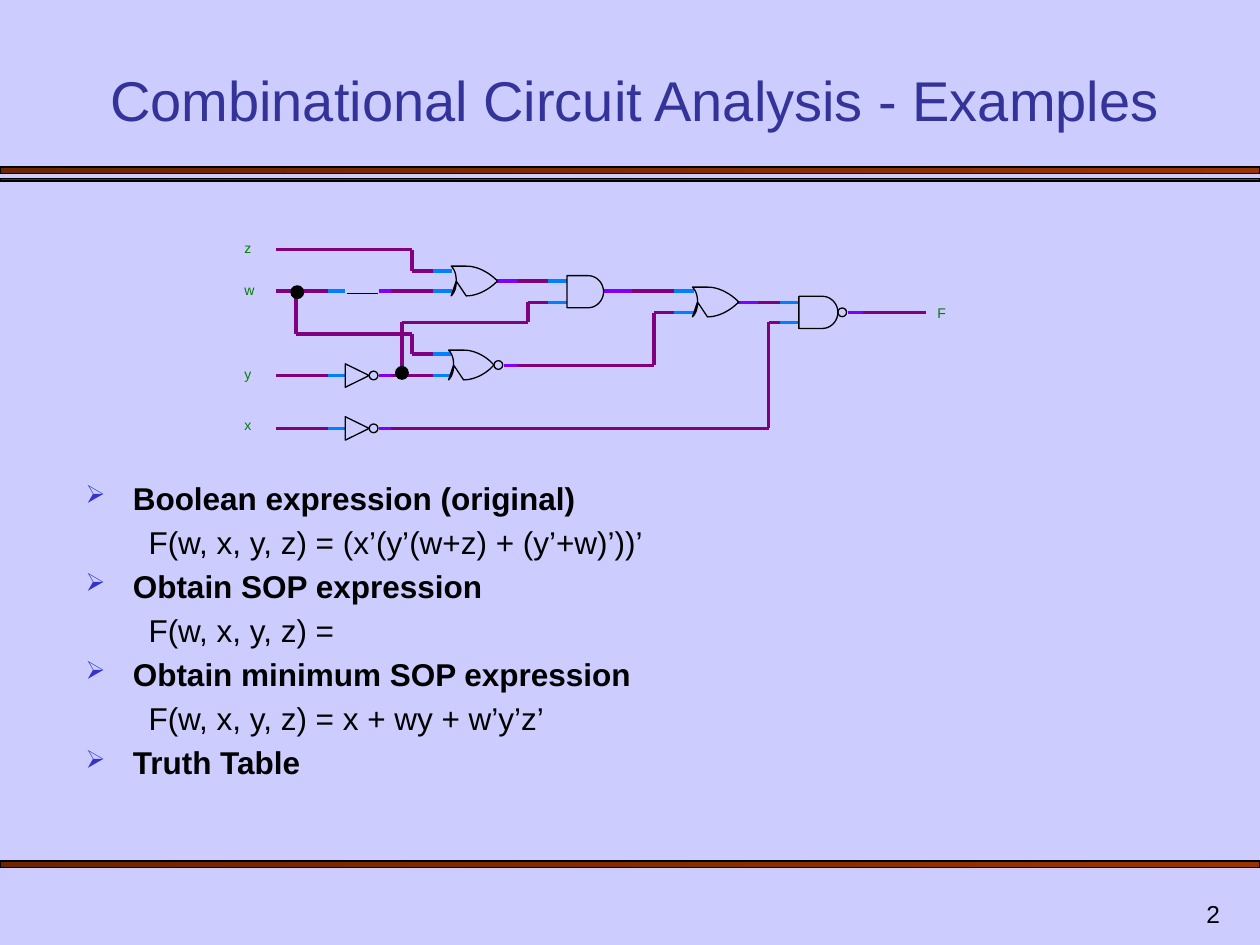
"""Build a slide that analyses a combinational logic circuit."""
import lxml.etree
import pptx
import pptx.dml.color
import pptx.enum.shapes
import pptx.enum.text
import pptx.oxml.ns
import pptx.util

Pt = pptx.util.Pt
SHAPE = pptx.enum.shapes.MSO_SHAPE
ALIGN = pptx.enum.text.PP_ALIGN
ANCHOR = pptx.enum.text.MSO_ANCHOR
BLACK, GREEN, WIRE, PIN, OUT = "000000", "008000", "800080", "0080FF", "8000FF"
BUBBLE = 5


def rgb(value):
    return pptx.dml.color.RGBColor.from_string(value)


def add_element(parent, tag, **attrs):
    qn = pptx.oxml.ns.qn
    return lxml.etree.SubElement(parent, qn(tag), {k: str(v) for k, v in attrs.items()})


def set_outline(line, color, width):
    line.color.rgb = rgb(color)
    line.width = Pt(width)


def format_text(p, text, size=18, color=BLACK, bold=False, align=ALIGN.LEFT):
    p.alignment = align
    r = p.add_run()
    r.text = text
    r.font.name = "Arial"
    r.font.size = Pt(size)
    r.font.bold = bold
    r.font.color.rgb = rgb(color)


def add_text_box(slide, box, anchor=ANCHOR.TOP, wrap=True, inset=True):
    tf = slide.shapes.add_textbox(*map(Pt, box)).text_frame
    tf.word_wrap = wrap
    tf.vertical_anchor = anchor
    if not inset:
        tf.margin_left = tf.margin_right = tf.margin_top = tf.margin_bottom = 0
    return tf


def add_label(slide, text, x, y):
    tf = add_text_box(slide, (x, y, 6, 21.6), wrap=False, inset=False)
    format_text(tf.paragraphs[0], text, size=8, color=GREEN)


def add_bar(slide, y, height):
    sp = slide.shapes.add_shape(SHAPE.RECTANGLE, 0, Pt(y), Pt(720), Pt(height))
    sp.shadow.inherit = False
    sp.fill.gradient()
    sp.fill.gradient_angle = 0
    for stop, color, position in zip(sp.fill.gradient_stops, ("6D2400", "993300"), (0, 1)):
        stop.color.rgb = rgb(color)
        stop.position = position
    set_outline(sp.line, BLACK, 0.75)


def add_circle(slide, x, y, size, fill=None, width=0):
    sp = slide.shapes.add_shape(SHAPE.OVAL, Pt(x), Pt(y - size / 2), Pt(size), Pt(size))
    sp.shadow.inherit = False
    if fill:
        sp.fill.solid()
        sp.fill.fore_color.rgb = rgb(fill)
    else:
        sp.fill.background()
    set_outline(sp.line, BLACK, width)


def add_wire(slide, color, *points, width=0):
    for start, end in zip(points, points[1:]):
        line = slide.shapes.add_connector(
            pptx.enum.shapes.MSO_CONNECTOR.STRAIGHT, *map(Pt, start + end))
        set_outline(line.line, color, width)
        add_element(line._element.spPr, "a:effectLst")


def curve(p0, p1, p2, p3, steps=12):
    """Return points along a cubic Bezier curve."""
    points = []
    for i in range(steps + 1):
        t = i / steps
        weights = ((1 - t) ** 3, 3 * t * (1 - t) ** 2, 3 * t ** 2 * (1 - t), t ** 3)
        points.append(tuple(sum(w * p[axis] for w, p in zip(weights, (p0, p1, p2, p3)))
                            for axis in (0, 1)))
    return points


def mirrored(points):
    return [(x, -y) for x, y in reversed(points)]


def add_gate(slide, x, y, outline, tip, inverted):
    points = [(Pt(x + dx), Pt(y + dy)) for dx, dy in outline]
    builder = slide.shapes.build_freeform(*points[0])
    builder.add_line_segments(points[1:], close=True)
    sp = builder.convert_to_shape()
    sp.shadow.inherit = False
    sp.fill.background()
    set_outline(sp.line, BLACK, 0)
    if inverted:
        add_circle(slide, x + tip, y, BUBBLE)


def add_or(slide, x, y, inverted=False):
    tip = 26 if inverted else 26.5
    top = curve((8.6, -8.5), (15, -8.5), (21.5, -5), (tip, 0))
    back = curve((0, -8.5), (2.2, -6.3), (2.9, -3.4), (2.9, 0))
    outline = top + mirrored(top) + mirrored(back) + back[::-1]
    add_gate(slide, x, y, outline, tip, inverted)


def add_and(slide, x, y, inverted=False):
    tip = 22.3 if inverted else 20.9
    top = curve((tip - 9, -9.2), (tip - 4, -9.2), (tip, -5), (tip, 0))
    outline = [(0, -9.2)] + top + mirrored(top) + [(0, 9.2)]
    add_gate(slide, x, y, outline, tip, inverted)


def add_inverter(slide, x, y):
    add_gate(slide, x, y, [(0, -6.7), (13.7, 0), (0, 6.7)], 13.7, True)


def add_circuit(slide):
    z, w, y, x = 142.6, 166.3, 214.6, 244.8
    left, inv_in, inv, inv_out = 157.7, 187.2, 197.3, 216.7
    stub, gate_in, bend = 223.2, 247.7, 235.4
    wires = [
        (WIRE, (left, z), (bend, z), (bend, 154.8), (gate_in, 154.8)),
        (WIRE, (left, w), (inv_in, w)),
        (WIRE, (stub, w), (gate_in, w)),
        (WIRE, (169.2, w), (169.2, 190.8), (bend, 190.8), (bend, 202.3), (gate_in, 202.3)),
        (WIRE, (left, y), (inv_in, y)),
        (WIRE, (stub, y), (gate_in, y)),
        (WIRE, (229.7, y), (229.7, 184.3), (301.7, 184.3), (301.7, 172.8), (313.2, 172.8)),
        (WIRE, (left, x), (inv_in, x)),
        (WIRE, (stub, x), (439.2, x), (439.2, 184.3), (445.7, 184.3)),
        (WIRE, (295.2, 160.6), (313.2, 160.6)),
        (WIRE, (295.2, 208.8), (373.7, 208.8), (373.7, 178.6), (385.2, 178.6)),
        (WIRE, (361.4, w), (385.2, w)),
        (WIRE, (433.4, 172.8), (445.7, 172.8)),
        (WIRE, (493.2, 178.6), (529.2, 178.6)),
    ]
    pins = [(gate_in, 258.5, 154.8), (gate_in, 258.5, w), (gate_in, 257.8, 202.3),
            (gate_in, 257.8, y), (313.2, 324, 160.6), (313.2, 324, 172.8),
            (385.2, 396.7, w), (385.2, 396.7, 178.6), (445.7, 456.5, 172.8),
            (445.7, 456.5, 184.3)] + [(inv_in, inv, row) for row in (w, y, x)]
    outs = [(283.7, 295.2, 160.6), (288, 295.2, 208.8), (344.9, 361.4, w),
            (421.2, 433.4, 172.8), (484.6, 493.2, 178.6)]
    outs += [(inv_out, stub, row) for row in (w, y, x)]
    for color, group in ((PIN, pins), (OUT, outs)):
        wires += [(color, (start, row), (end, row)) for start, end, row in group]
    for color, *points in wires:
        add_wire(slide, color, *points)

    add_or(slide, 257.8, 160.6)
    add_or(slide, 256.3, 208.6, inverted=True)
    add_or(slide, 395.7, 172.6)
    add_and(slide, 324, 166.7)
    add_and(slide, 456.5, 178.5, inverted=True)
    for row in (y, x):
        add_inverter(slide, inv, row)
    for dot_x, dot_y in ((226.1, 213.1), (166.3, 167)):
        add_circle(slide, dot_x, dot_y, 7.2, fill=BLACK, width=0.75)
    add_wire(slide, BLACK, (198, 167.8), (216, 167.8), width=0.75)
    for text, top in (("z", 136.8), ("w", 160.6), ("y", 208.8), ("x", 238.3)):
        add_label(slide, text, 139.7, top)
    add_label(slide, "F", 535.7, 174.2)


def add_steps(slide, steps):
    tf = add_text_box(slide, (41.8, 270, 642.2, 210))
    for i, (text, heading) in enumerate(steps):
        p = tf.add_paragraph() if i else tf.paragraphs[0]
        format_text(p, text, bold=heading)
        pPr = p._p.get_or_add_pPr()
        pPr.set("marL", str(Pt(27 if heading else 36)))
        pPr.set("indent", str(Pt(-27 if heading else 0)))
        add_element(add_element(pPr, "a:spcBef"), "a:spcPct", val=20000)
        if heading:
            add_element(add_element(pPr, "a:buClr"), "a:srgbClr", val="3333CC")
            add_element(pPr, "a:buSzPct", val=80000)
            add_element(pPr, "a:buChar", char="➢")
        else:
            p.level = 1
            add_element(pPr, "a:buNone")


def main():
    prs = pptx.Presentation()
    prs.slide_width, prs.slide_height = Pt(720), Pt(540)
    slide = prs.slides.add_slide(prs.slide_layouts[6])
    slide.background.fill.solid()
    slide.background.fill.fore_color.rgb = rgb("CCCCFF")
    for y, height in ((95.5, 3.75), (102, 1.5), (492, 3.75)):
        add_bar(slide, y, height)
    number = add_text_box(slide, (554.4, 504, 149.8, 30), anchor=ANCHOR.BOTTOM)
    format_text(number.paragraphs[0], "2", size=14, align=ALIGN.RIGHT)
    add_circuit(slide)
    title = add_text_box(slide, (41.8, 30.2, 642.2, 49), anchor=ANCHOR.BOTTOM)
    format_text(title.paragraphs[0], "Combinational Circuit Analysis - Examples",
                size=32, color="333399", align=ALIGN.CENTER)
    add_steps(slide, [
        ("Boolean expression (original)", True),
        ("F(w, x, y, z) = (x’(y’(w+z) + (y’+w)’))’", False),
        ("Obtain SOP expression", True),
        ("F(w, x, y, z) =", False),
        ("Obtain minimum SOP expression", True),
        ("F(w, x, y, z) = x + wy + w’y’z’", False),
        ("Truth Table", True),
    ])
    prs.save("out.pptx")


if __name__ == "__main__":
    main()
